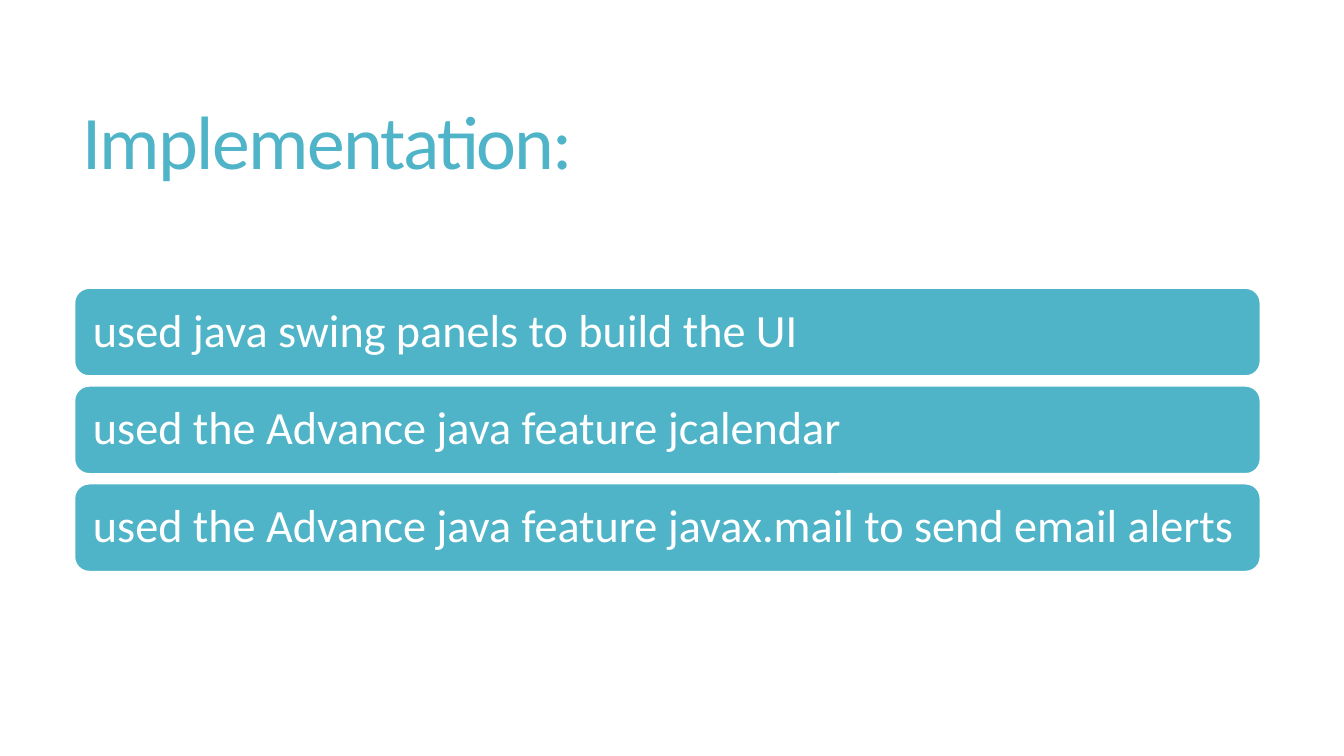
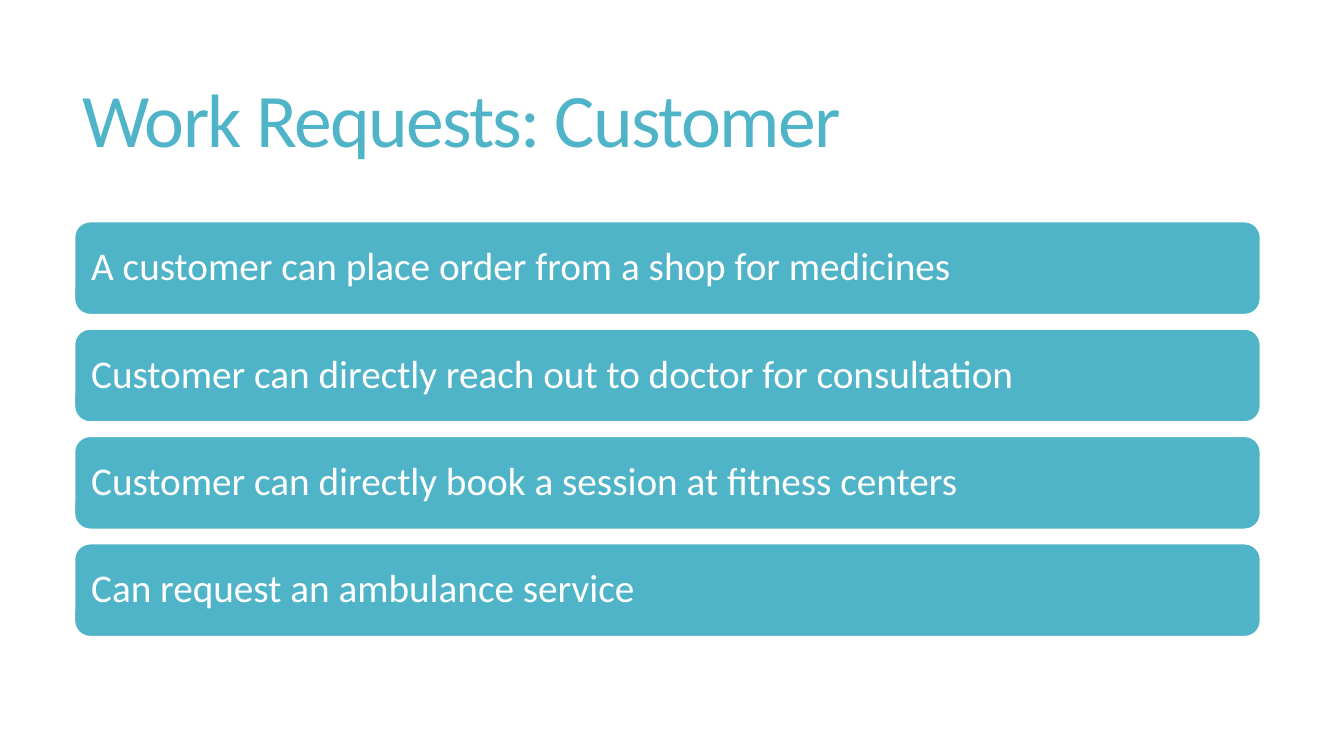
from dataclasses import dataclass

from pptx import Presentation
from pptx.dml.color import RGBColor
from pptx.enum.shapes import MSO_SHAPE
from pptx.enum.text import MSO_ANCHOR, PP_ALIGN
from pptx.util import Inches, Pt


@dataclass(frozen=True)
class Theme:
    teal: RGBColor = RGBColor(0x50, 0xB4, 0xC8)
    white: RGBColor = RGBColor(0xFF, 0xFF, 0xFF)
    font: str = "Calibri"
    title: int = 54
    track: int = -120
    wide: float = 13.33
    high: float = 7.5
    left: float = 0.74
    width: float = 11.76


THEME = Theme()

SLIDES = [
    dict(
        title="Implementation:",
        head=1.81, top=2.86, bar=0.87, step=0.97, size=33, inset=0.14,
        items=[
            "used java swing panels to build the UI",
            "used the Advance java feature jcalendar",
            "used the Advance java feature javax.mail to send email alerts",
        ],
    ),
    dict(
        title="Work Requests: Customer",
        head=1.36, top=2.2, bar=0.92, step=1.065, size=28, inset=0.12,
        items=[
            "A customer can place order from a shop for medicines",
            "Customer can directly reach out to doctor for consultation",
            "Customer can directly book a session at fitness centers",
            "Can request an ambulance service",
        ],
    ),
]


def write(shape, text, size, color, space):
    frame = shape.text_frame
    frame.word_wrap = True
    frame.vertical_anchor = MSO_ANCHOR.MIDDLE
    line = frame.paragraphs[0]
    line.text = text
    line.alignment = PP_ALIGN.LEFT
    line.line_spacing = space
    line.font.name = THEME.font
    line.font.size = Pt(size)
    line.font.color.rgb = color
    return line


def add_title(slide, text, box):
    shape = slide.shapes.add_textbox(*map(Inches, box))
    line = write(shape, text, THEME.title, THEME.teal, 0.85)
    line.runs[0].font._element.set("spc", str(THEME.track))


def add_bar(slide, text, box, size, inset):
    shape = slide.shapes.add_shape(MSO_SHAPE.ROUNDED_RECTANGLE, *map(Inches, box))
    shape.shadow.inherit = False
    shape.fill.solid()
    shape.fill.fore_color.rgb = THEME.teal
    shape.line.color.rgb = THEME.white
    shape.line.width = Pt(1)
    frame = shape.text_frame
    frame.margin_left = frame.margin_right = Inches(inset)
    write(shape, text, size, THEME.white, 0.9)


def add_list(slide, items, box, step, size, inset):
    left, top, width, bar = box
    for row, text in enumerate(items):
        add_bar(slide, text, (left, top + row * step, width, bar), size, inset)


def add_slide(deck, title, head, top, bar, step, size, inset, items):
    slide = deck.slides.add_slide(deck.slide_layouts[6])
    add_title(slide, title, (0.72, 0.55, 11.78, head))
    add_list(slide, items, (THEME.left, top, THEME.width, bar), step, size, inset)


def main():
    deck = Presentation()
    deck.slide_width = Inches(THEME.wide)
    deck.slide_height = Inches(THEME.high)
    for page in SLIDES:
        add_slide(deck, **page)
    deck.save("out.pptx")


if __name__ == "__main__":
    main()
